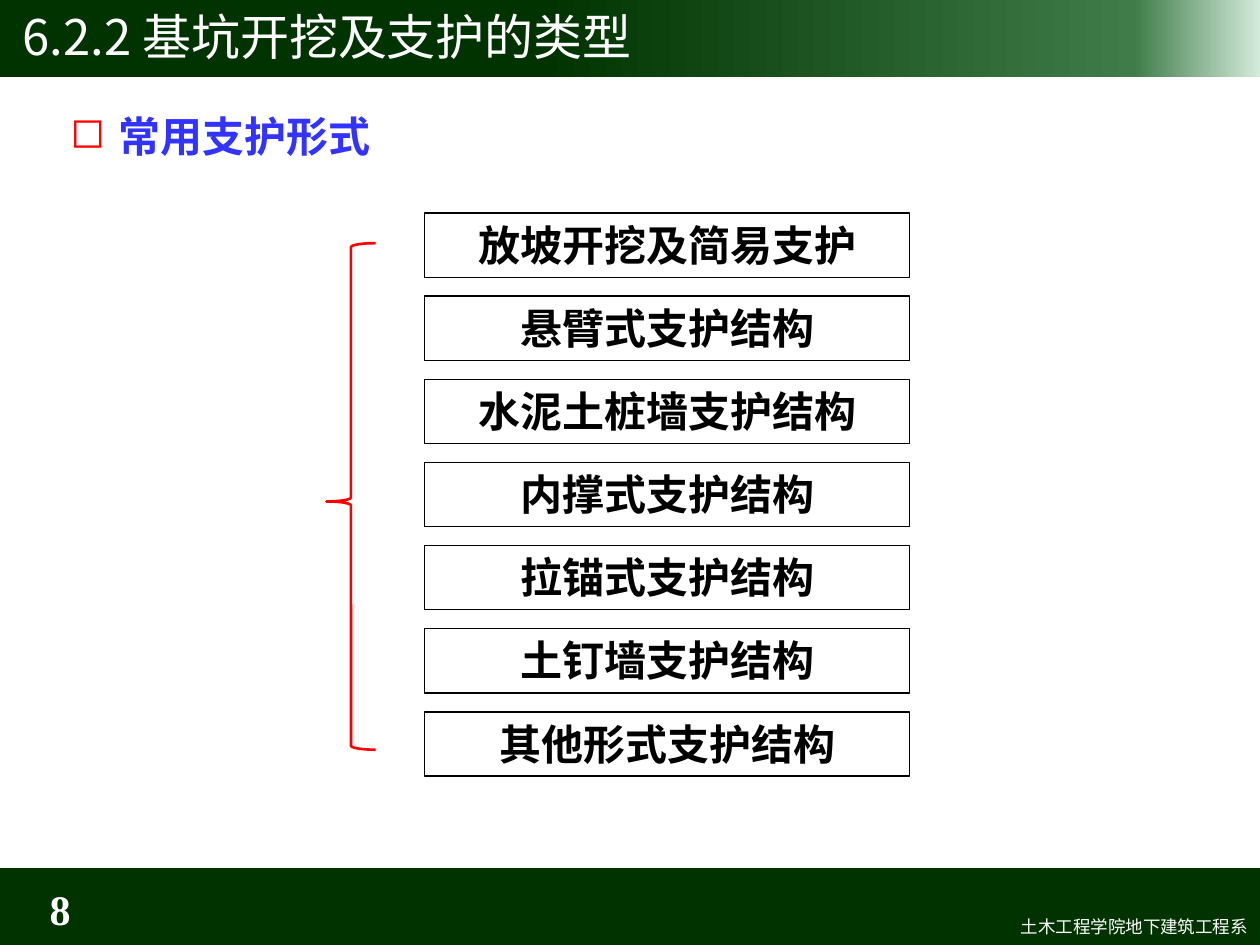
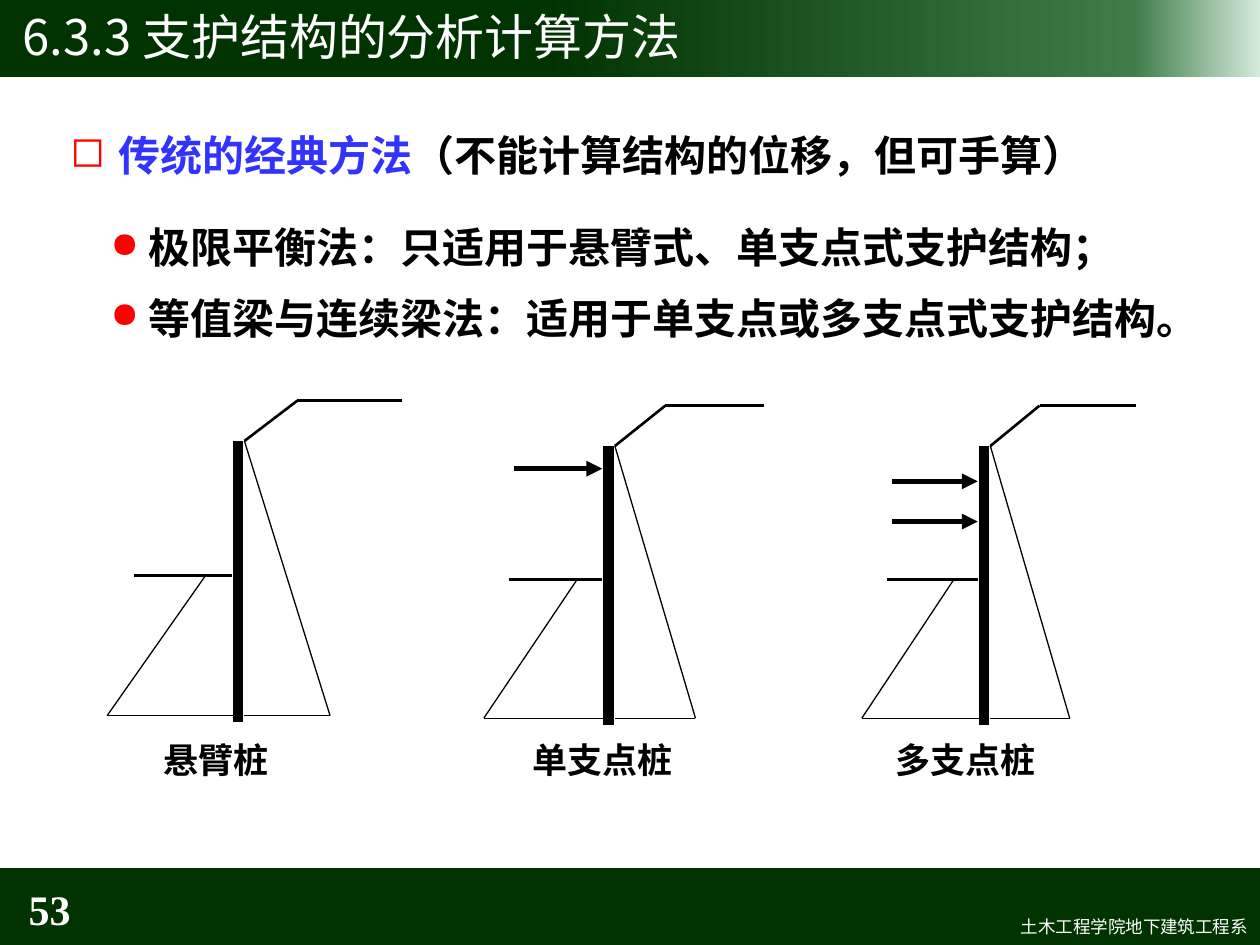
from pptx import Presentation
from pptx.dml.color import RGBColor as RGB
from pptx.enum.shapes import MSO_CONNECTOR as Link, MSO_SHAPE as Shape
from pptx.enum.text import MSO_ANCHOR as Anchor, MSO_AUTO_SIZE as Auto, PP_ALIGN as Align
from pptx.oxml import parse_xml
from pptx.oxml.ns import nsdecls, qn
from pptx.util import Emu, Pt
from lxml.etree import SubElement as Sub

PX = 9144  # 100 px to the inch
COLORS = {
    "dark": "003300", "green": "3F7C49", "pale": "D4EBDB", "white": "FFFFFF",
    "black": "000000", "red": "FF0000", "blue": "3333FF",
}
SANS, SERIF = "Noto Sans CJK SC", "Times New Roman"
LEFT, RIGHT, CENTER = Align.LEFT, Align.RIGHT, Align.CENTER


def px(n):
    return Emu(round(n * PX))


def rgb(name):
    return RGB.from_string(COLORS[name])


def add_bullet(para, char, size, indent):
    props = para._p.get_or_add_pPr()
    props.set("marL", str(px(indent)))
    props.set("indent", str(-px(indent)))
    tint = Sub(props, qn("a:buClr"))
    Sub(tint, qn("a:srgbClr"), val=COLORS["red"])
    Sub(props, qn("a:buSzPct"), val=str(size * 1000))
    Sub(props, qn("a:buChar"), char=char)


def write(frame, *paras, size=24, font=SERIF, color="black", bold=True, align=LEFT,
          anchor=Anchor.TOP, bullet=None, spacing=None, before=0):
    """Fill a frame; each paragraph is a string or a list of (text, colour, font)."""
    frame.word_wrap = True
    frame.auto_size = Auto.NONE
    frame.vertical_anchor = anchor
    for i, runs in enumerate(paras):
        para = frame.add_paragraph() if i else frame.paragraphs[0]
        if bullet:
            add_bullet(para, *bullet)
        para.alignment = align
        if spacing:
            para.line_spacing = spacing
        if i and before:
            para.space_before = Pt(before)
        if isinstance(runs, str):
            runs = [(runs, color, font)]
        for text, tint, face in runs:
            run = para.add_run()
            run.text = text
            style = run.font
            style.name, style.size, style.bold = face, Pt(size), bold
            style.color.rgb = rgb(tint)
            Sub(style._element, qn("a:ea"), typeface=SANS)


class Deck:
    def __init__(self):
        self.file = Presentation()
        self.file.slide_width, self.file.slide_height = px(1000), px(750)
        self.layout = self.file.slide_layouts[5]
        self.slide = self.area = None

    def start(self, title, number):
        first = self.slide is None
        self.slide = self.file.slides.add_slide(self.layout)
        self.area = self.slide.shapes
        if first:
            self.frame()
        head = self.slide.shapes.title
        head.left, head.top, head.width, head.height = map(px, (0, -3, 1000, 63))
        head.text_frame.margin_left = px(18)
        write(head.text_frame, title, size=28, font=SANS, color="white", bold=False,
              anchor=Anchor.MIDDLE)
        self.text((0, 701, 66, 40), number, color="white", align=RIGHT,
                  anchor=Anchor.MIDDLE)

    def frame(self):
        """Draw the bands and the footer, and move them to the shared layout."""
        band = self.shape(Shape.RECTANGLE, (0, -3, 1000, 64))
        band.fill.gradient()
        stops = "".join(
            f'<a:gs pos="{pos}000"><a:srgbClr val="{COLORS[name]}"/></a:gs>'
            for pos, name in ((43, "dark"), (90, "green"), (100, "pale")))
        old = band._element.spPr.find(qn("a:gradFill"))
        old.getparent().replace(old, parse_xml(
            f'<a:gradFill {nsdecls("a")}><a:gsLst>{stops}</a:gsLst>'
            '<a:lin ang="0" scaled="1"/></a:gradFill>'))
        foot = self.shape(Shape.RECTANGLE, (0, 689, 1000, 64))
        foot.fill.solid()
        foot.fill.fore_color.rgb = rgb("dark")
        dept = self.text((421, 722, 579, 27), "土木工程学院地下建筑工程系", size=10,
                         font=SANS, color="white", bold=False, align=RIGHT)
        tree = self.layout.shapes._spTree
        for i, item in enumerate((band, foot, dept)):
            tree.insert(2 + i, item._element)

    def text(self, box, *paras, **form):
        item = self.area.add_textbox(*map(px, box))
        write(item.text_frame, *paras, **form)
        return item

    def shape(self, kind, box, line=None, width=0.75):
        item = self.area.add_shape(kind, *map(px, box))
        item.shadow.inherit = False
        item.fill.background()
        if line:
            item.line.color.rgb = rgb(line)
            item.line.width = Pt(width)
        else:
            item.line.fill.background()
        return item

    def line(self, start, end, width=0.75, arrow=False):
        item = self.area.add_connector(Link.STRAIGHT, *map(px, (*start, *end)))
        item.line.color.rgb = rgb("black")
        item.line.width = Pt(width)
        if arrow:
            Sub(item.line._get_or_add_ln(), qn("a:tailEnd"), type="triangle")
        Sub(item._element.spPr, qn("a:effectLst"))

    def topic(self, top, width, *runs):
        self.text((46, top, width, 50), list(runs), bullet=("◻", 100, 38))

    def pile(self, x, top, wide, tall, props, label, left):
        """Draw a wall with its earth pressure, scaled by wide and tall."""
        self.area = self.slide.shapes.add_group_shape().shapes
        gap = 5

        def at(dx, dy):
            edge = dx if abs(dx) <= gap else dx * wide
            return round(x + edge), round(top + dy * tall)

        self.line(at(0, 0), at(0, 223), 6)
        self.line(at(gap, 0), at(47, -32), 1.5)
        self.line(at(47, -32), at(130, -32), 1.5)
        self.line(at(-83, 107), at(-gap, 107), 1.5)
        self.line(at(-26, 107), at(-104, 218))
        self.line(at(-104, 218), at(0, 218))
        self.line(at(gap, 0), at(73, 218))
        self.line(at(gap, 218), at(73, 218))
        for dy in props:
            self.line(at(-79, dy), at(-gap, dy), 3, arrow=True)
        self.text((left, 581, 160, 51), label, size=20)


def show_types(deck):
    deck.start("6.2.2 基坑开挖及支护的类型", "8")
    deck.topic(83, 300, ("常用支护形式", "blue", SANS))
    types = ("放坡开挖及简易支护", "悬臂式支护结构", "水泥土桩墙支护结构", "内撑式支护结构",
             "拉锚式支护结构", "土钉墙支护结构", "其他形式支护结构")
    for i, name in enumerate(types):
        box = deck.shape(Shape.RECTANGLE, (337, 169 + 66 * i, 385, 51), "black")
        write(box.text_frame, name, align=CENTER)
    brace = deck.shape(Shape.LEFT_BRACE, (259, 193, 39, 402), "red", 1.5)
    brace.adjustments[0], brace.adjustments[1] = 0.08, 0.51


def show_methods(deck):
    deck.start("6.3.3 支护结构的分析计算方法", "53")
    deck.topic(98, 854, ("传统的经典方法", "blue", SANS),
               ("（不能计算结构的位移，但可手算）", "black", SERIF))
    deck.text((78, 163, 898, 147),
              "极限平衡法：只适用于悬臂式、单支点式支护结构；",
              "等值梁与连续梁法：适用于单支点或多支点式支护结构。",
              bullet=("●", 85, 30), spacing=1.2, before=5.8)
    deck.pile(189, 350, 1, 1, (), "悬臂桩", 120)
    deck.pile(483, 354, 0.95, 0.99, (18,), "单支点桩", 413)
    deck.pile(781, 354, 0.93, 0.99, (28, 61), "多支点桩", 701)


def main():
    deck = Deck()
    show_types(deck)
    show_methods(deck)
    deck.file.save("out.pptx")


if __name__ == "__main__":
    main()
